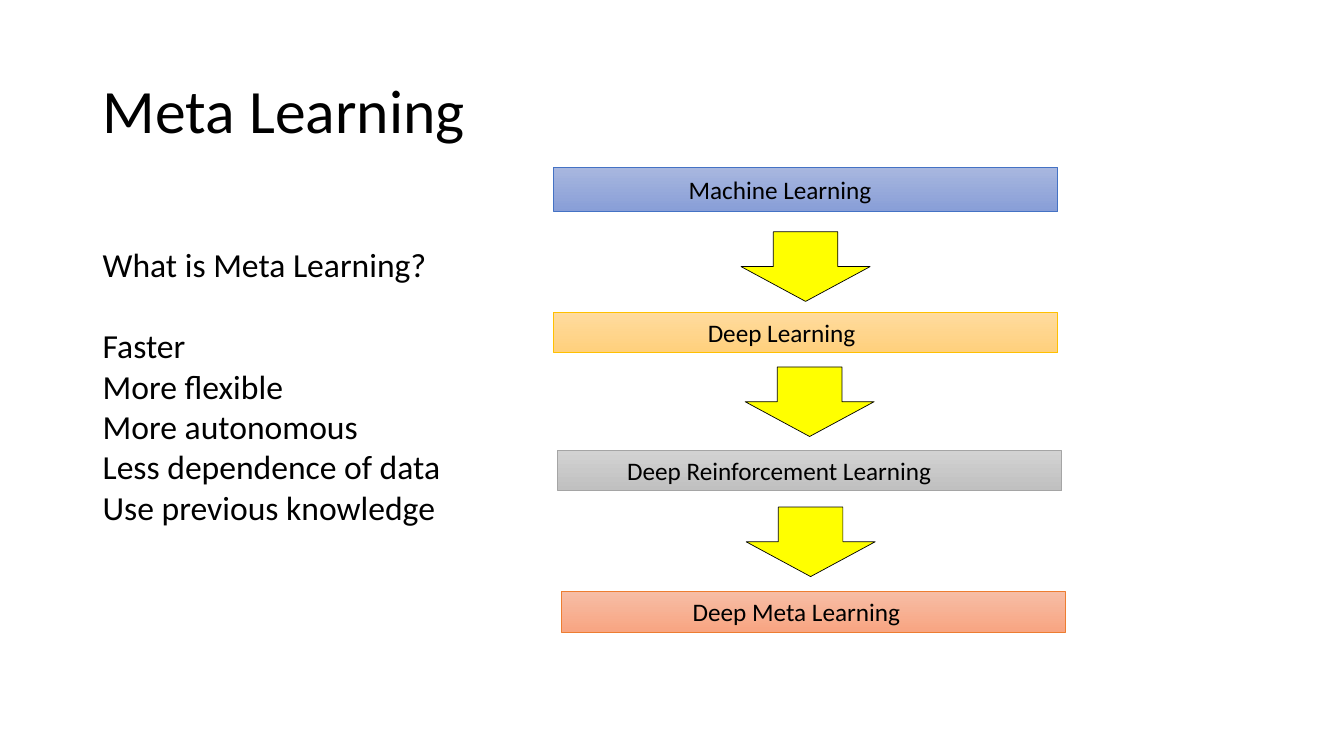
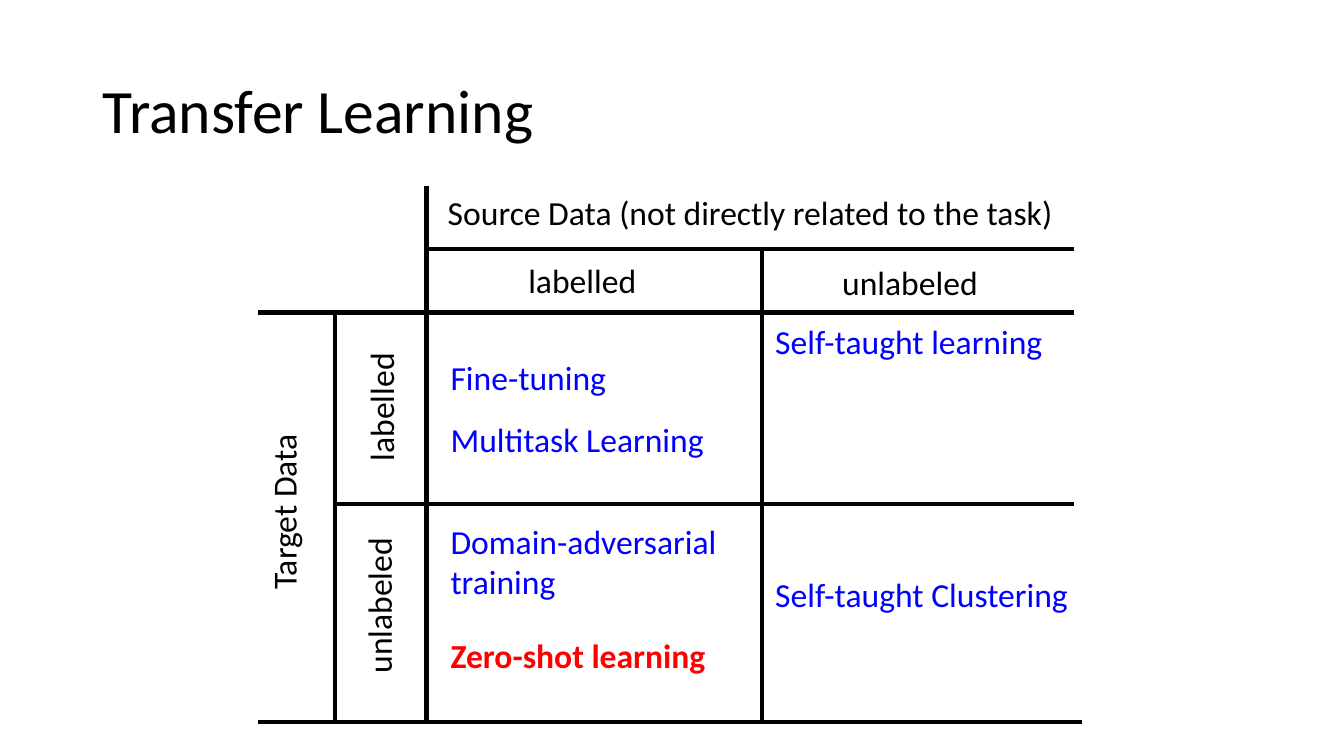
import pptx
import pptx.util
import pptx.dml.color
import pptx.enum.shapes
import pptx.enum.text
import pptx.oxml.ns
import lxml.etree

Inches, Pt = pptx.util.Inches, pptx.util.Pt
ALIGN = pptx.enum.text.PP_ALIGN
ANCHOR = pptx.enum.text.MSO_ANCHOR
SHAPE = pptx.enum.shapes.MSO_SHAPE

# Shared style
FONT = "Calibri"
BLACK, BLUE, RED, YELLOW = "000000", "0000FF", "FF0000", "FFFF00"
TITLE_SIZE, BODY_SIZE, BAR_SIZE = 44, 24, 18
THIN, RULE = 0.5, 3
TITLE_BOX = (0.92, 0.4, 11.5, 1.45)


def rgb(value):
    return pptx.dml.color.RGBColor.from_string(value)


def box(left, top, width, height):
    return Inches(left), Inches(top), Inches(width), Inches(height)


def write(paragraph, text, size, color=BLACK, bold=False, align=ALIGN.LEFT):
    paragraph.alignment = align
    run = paragraph.add_run()
    run.text = text
    run.font.name = FONT
    run.font.size = Pt(size)
    run.font.bold = bold
    run.font.color.rgb = rgb(color)


def add_titled_slide(deck, text):
    slide = deck.slides.add_slide(deck.slide_layouts[5])
    title = slide.shapes.title
    title.left, title.top, title.width, title.height = box(*TITLE_BOX)
    title.text_frame.vertical_anchor = ANCHOR.MIDDLE
    heading = title.text_frame.paragraphs[0]
    heading.line_spacing = 0.9
    write(heading, text, TITLE_SIZE)
    return slide


def add_text(slide, place, lines, rotation=0, **style):
    label = slide.shapes.add_textbox(*box(*place))
    label.rotation = rotation
    frame = label.text_frame
    frame.word_wrap = True
    for index, line in enumerate(lines):
        paragraph = frame.add_paragraph() if index else frame.paragraphs[0]
        write(paragraph, line, BODY_SIZE, **style)
    return frame


def add_outlined(slide, kind, place, line_color):
    shape = slide.shapes.add_shape(kind, *box(*place))
    shape.shadow.inherit = False
    shape.line.color.rgb = rgb(line_color)
    shape.line.width = Pt(THIN)
    return shape


def add_rule(slide, x1, y1, x2, y2):
    rule = slide.shapes.add_connector(
        pptx.enum.shapes.MSO_CONNECTOR.STRAIGHT,
        Inches(x1), Inches(y1), Inches(x2), Inches(y2))
    rule.line.color.rgb = rgb(BLACK)
    rule.line.width = Pt(RULE)
    properties = rule._element.spPr
    lxml.etree.SubElement(properties, pptx.oxml.ns.qn("a:effectLst"))


def add_question(slide, place):
    frame = add_text(slide, place, [
        "What is Meta Learning?", "Faster", "More flexible",
        "More autonomous", "Less dependence of data",
        "Use previous knowledge"])
    # One line of air between the question and its answers
    frame.paragraphs[1].space_before = Pt(29.3)


def add_learning_chain(slide, left, top):
    bar_width, arrow_width, arrow_height = 5, 1.28, 0.69
    # name, x, y, height, text indent, gradient top and bottom, outline
    bars = [
        ("Machine Learning", 0, 0, 0.44, 1.34, "A8B7DF", "889ED7", "4472C4"),
        ("Deep Learning", 0, 1.44, 0.4, 1.53, "FFDB9E", "FFD07C", "FFC000"),
        ("Deep Reinforcement Learning", 0.04, 2.81, 0.4, 0.69,
         "D2D2D2", "C0C0C0", "A5A5A5"),
        ("Deep Meta Learning", 0.08, 4.21, 0.4, 1.3,
         "F7BDA5", "F8A582", "ED7D31"),
    ]
    for name, x, y, height, indent, light, dark, outline in bars:
        bar = add_outlined(slide, SHAPE.RECTANGLE,
                           (left + x, top + y, bar_width, height), outline)
        bar.fill.gradient()
        bar.fill.gradient_angle = 270
        for stop, color in zip(bar.fill.gradient_stops, (light, dark)):
            stop.color.rgb = rgb(color)
        frame = bar.text_frame
        frame.margin_left = Inches(indent)
        frame.margin_top = frame.margin_bottom = 0
        frame.vertical_anchor = ANCHOR.MIDDLE
        write(frame.paragraphs[0], name, BAR_SIZE)

    # Arrows from each stage to the next
    for x, y in [(1.86, 0.64), (1.9, 1.98), (1.91, 3.37)]:
        arrow = add_outlined(slide, SHAPE.DOWN_ARROW,
                             (left + x, top + y, arrow_width, arrow_height),
                             BLACK)
        arrow.fill.solid()
        arrow.fill.fore_color.rgb = rgb(YELLOW)


def add_transfer_matrix(slide, left, top):
    # Grid lines, as offsets from the corner of the matrix
    target_x, source_x, middle_x, right_x = 0.76, 1.67, 5, 8.09
    header_y, body_y, middle_y, bottom_y = 0.62, 1.25, 3.15, 5.31
    rules = [
        (source_x, 0, source_x, bottom_y),
        (target_x, body_y, target_x, bottom_y),
        (middle_x, header_y, middle_x, bottom_y),
        (source_x, header_y, right_x, header_y),
        (0, body_y, right_x, body_y),
        (target_x, middle_y, right_x, middle_y),
        (0, bottom_y, 8.17, bottom_y),
    ]
    for x1, y1, x2, y2 in rules:
        add_rule(slide, left + x1, top + y1, left + x2, top + y2)

    # Headings: text, x, y, width, rotation
    headings = [
        ("Source Data (not directly related to the task)", 1.63, 0, 6.5, 0),
        ("labelled", 2.37, 0.68, 1.69, 0),
        ("unlabeled", 5.62, 0.7, 1.69, 0),
        ("Target Data", -1.55, 2.98, 3.6, 270),
        ("labelled", 0.37, 1.94, 1.69, 270),
        ("unlabeled", 0.35, 3.91, 1.69, 270),
    ]
    for text, x, y, width, rotation in headings:
        add_text(slide, (left + x, top + y, width, 0.5), [text],
                 rotation, align=ALIGN.CENTER)

    # Methods: text, x, y, width, height, colour
    first_x, second_x = source_x + 0.14, middle_x + 0.03
    methods = [
        ("Fine-tuning", first_x, 1.64, 2.82, 0.5, BLUE),
        ("Multitask Learning", first_x, 2.26, 2.82, 0.5, BLUE),
        ("Domain-adversarial training", first_x, 3.27, 3.04, 0.91, BLUE),
        ("Zero-shot learning", first_x, 4.4, 3.36, 0.5, RED),
        ("Self-taught learning", second_x, 1.28, 3.51, 0.5, BLUE),
        ("Self-taught Clustering", second_x, 3.79, 3.25, 0.5, BLUE),
    ]
    for text, x, y, width, height, color in methods:
        add_text(slide, (left + x, top + y, width, height), [text],
                 color=color, bold=color == RED)


def main():
    deck = pptx.Presentation()
    deck.slide_width, deck.slide_height = Inches(13.33), Inches(7.5)

    meta = add_titled_slide(deck, "Meta Learning")
    add_learning_chain(meta, 5.49, 1.66)
    add_question(meta, (0.92, 2.37, 4.02, 2.93))

    transfer = add_titled_slide(deck, "Transfer Learning")
    add_transfer_matrix(transfer, 2.56, 1.85)

    deck.save("out.pptx")


if __name__ == "__main__":
    main()
